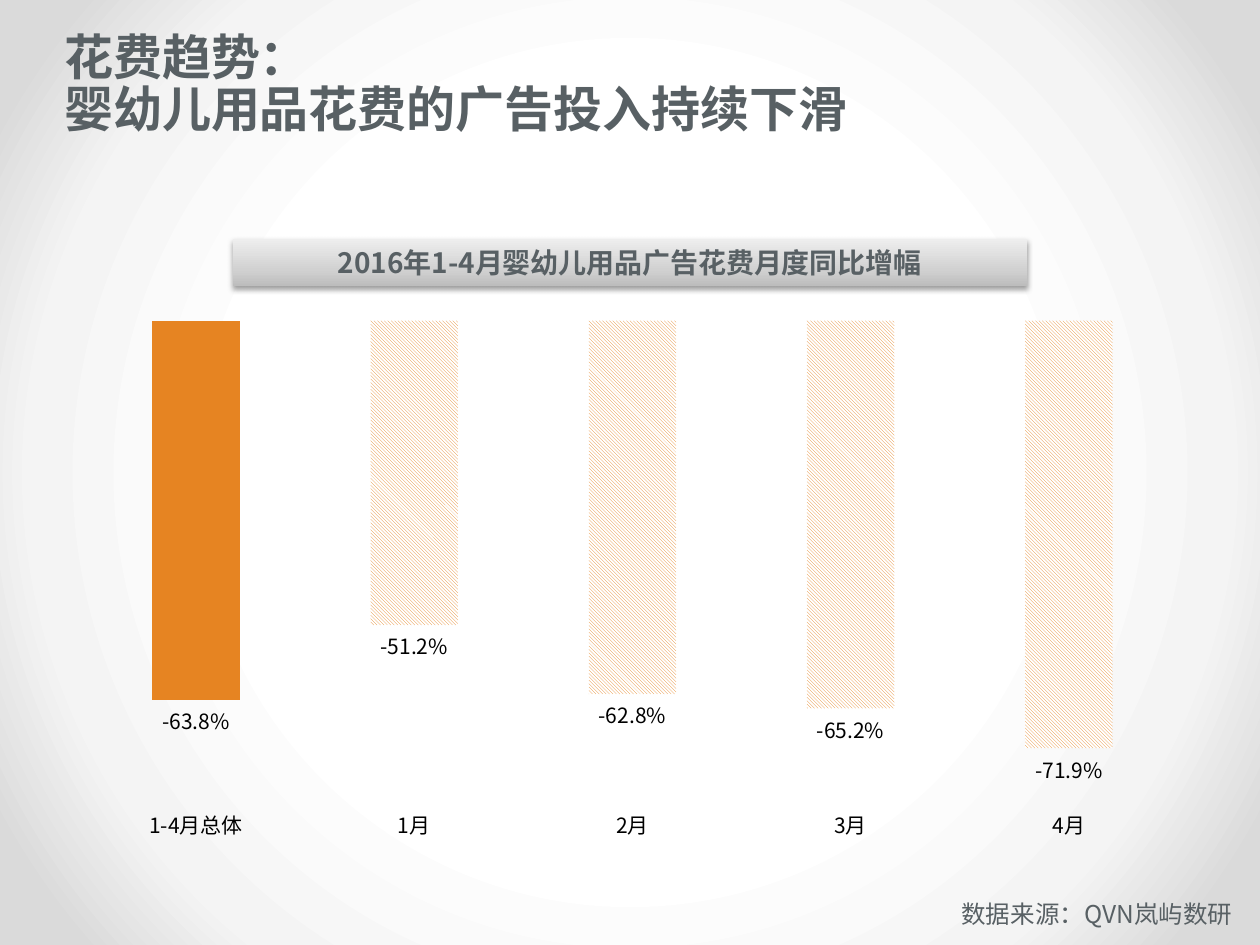
from lxml import etree
from pptx import Presentation, util as u
from pptx.chart import data as chart_data
from pptx.dml.color import RGBColor
from pptx.enum import chart as ch, dml, shapes, text
from pptx.oxml import parse_xml
from pptx.oxml.ns import nsdecls, qn

COLORS = {"ink": "586064", "orange": "E68422", "white": "FFFFFF", "black": "000000",
          "bg_mid": "F4F4F4", "bg_edge": "DADADA",
          "band_low": "BDBDBD", "band_mid": "D1D1D1", "band_top": "EEEEEE"}
SANS = "Noto Sans CJK SC"


def gradient(stops, direction):
    listed = "".join(f'<a:gs pos="{pos * 1000}"><a:srgbClr val="{COLORS[name]}"/></a:gs>'
                     for pos, name in stops)
    return parse_xml(f'<a:gradFill {nsdecls("a")} rotWithShape="1"><a:gsLst>{listed}</a:gsLst>'
                     f'{direction}</a:gradFill>')


def style(font, color, **values):
    for key, value in values.items():
        setattr(font, key, value)
    font.color.rgb = RGBColor.from_string(COLORS[color])


prs = Presentation()
prs.slide_width, prs.slide_height = u.Inches(10), u.Inches(7.5)
slide = prs.slides.add_slide(prs.slide_layouts[5])

slide.background.fill.solid()
backdrop = next(slide.background._cSld.iter(qn("p:bgPr")))
backdrop.replace(backdrop[0], gradient(
    [(50, "white"), (76, "bg_mid"), (92, "bg_edge")],
    '<a:path path="circle"><a:fillToRect l="50000" t="50000" r="50000" b="50000"/></a:path>'))

heading = slide.shapes.title
band = slide.shapes.add_shape(shapes.MSO_SHAPE.RECTANGLE, 0, 0, 0, 0)
growth = chart_data.CategoryChartData(number_format="0.0%")
growth.categories = ["1-4月总体", "1月", "2月", "3月", "4月"]
growth.add_series("Series 1", [-0.638, -0.512, -0.628, -0.652, -0.719])
chart = slide.shapes.add_chart(ch.XL_CHART_TYPE.COLUMN_CLUSTERED, u.Inches(0.51), u.Inches(2.46),
                               u.Inches(9.02), u.Inches(4.29), growth).chart
source = slide.shapes.add_textbox(0, 0, 0, 0)

band.shadow.inherit = False
band.line.fill.background()
band.fill.solid()
band_props = band._element.spPr
band_props.replace(band_props.find(qn("a:solidFill")), gradient(
    [(0, "band_low"), (35, "band_mid"), (100, "band_top")], '<a:lin ang="16200000" scaled="0"/>'))
band_props.find(qn("a:effectLst")).append(parse_xml(
    f'<a:outerShdw {nsdecls("a")} blurRad="{u.Pt(3.1)}" dist="{u.Pt(1.6)}" dir="5400000" '
    f'rotWithShape="0"><a:srgbClr val="{COLORS["black"]}"><a:alpha val="38000"/></a:srgbClr>'
    '</a:outerShdw>'))

FIT, NONE = text.MSO_AUTO_SIZE.SHAPE_TO_FIT_TEXT, text.MSO_AUTO_SIZE.NONE
TOP, MIDDLE, BOTTOM = text.MSO_ANCHOR.TOP, text.MSO_ANCHOR.MIDDLE, text.MSO_ANCHOR.BOTTOM
LEFT, CENTER, RIGHT = text.PP_ALIGN.LEFT, text.PP_ALIGN.CENTER, text.PP_ALIGN.RIGHT
for holder, box, lines, frame_format, line_format, font_format in [
    (heading, (0.41, 0.11, 9.12, 1.04), ["花费趋势：", "婴幼儿用品花费的广告投入持续下滑"],
     {"vertical_anchor": BOTTOM, "auto_size": NONE},
     {"alignment": LEFT, "line_spacing": 0.9},
     {"size": u.Pt(28), "name": "Montserrat", "bold": True}),
    (band, (1.85, 1.9, 6.3, 0.37), ["2016年1-4月婴幼儿用品广告花费月度同比增幅"],
     {"vertical_anchor": MIDDLE, "auto_size": FIT}, {"alignment": CENTER},
     {"size": u.Pt(16), "name": SANS, "bold": True}),
    (source, (6.18, 7.14, 3.7, 0.28), ["数据来源：QVN岚屿数研"],
     {"vertical_anchor": TOP, "auto_size": FIT},
     {"alignment": RIGHT, "line_spacing": u.Pt(13)},
     {"size": u.Pt(14), "name": SANS, "bold": False}),
]:
    holder.left, holder.top, holder.width, holder.height = map(u.Inches, box)
    frame = holder.text_frame
    frame.word_wrap = True
    for key, value in frame_format.items():
        setattr(frame, key, value)
    frame.text = "\n".join(lines)
    for line in frame.paragraphs:
        for key, value in line_format.items():
            setattr(line, key, value)
        run_font = line.runs[0].font
        style(run_font, "ink", **font_format)
        etree.SubElement(run_font._element, qn("a:ea"), typeface=SANS)

chart.has_legend = chart.has_title = False
style(chart.font, "black", size=u.Pt(18), name="TeX Gyre Pagella")

months = chart.category_axis
months.tick_label_position = ch.XL_TICK_LABEL_POSITION.LOW
months.major_tick_mark = ch.XL_TICK_MARK.NONE
months.format.line.fill.background()
style(months.tick_labels.font, "black", size=u.Pt(12), name=SANS)

change = chart.value_axis
for key, value in {"visible": False, "has_major_gridlines": False,
                   "minimum_scale": -0.8, "maximum_scale": 0}.items():
    setattr(change, key, value)

columns = chart.plots[0]
columns.gap_width, columns.overlap, columns.vary_by_categories = 150, -25, False
bars = columns.series[0]
bars.invert_if_negative = False
bars.format.fill.solid()
bars.format.fill.fore_color.rgb = RGBColor.from_string(COLORS["orange"])
for month in range(1, 5):
    hatch = bars.points[month].format.fill
    hatch.patterned()
    hatch.pattern = dml.MSO_PATTERN.DARK_DOWNWARD_DIAGONAL
    hatch.fore_color.rgb = RGBColor.from_string(COLORS["orange"])
    hatch.back_color.rgb = RGBColor.from_string(COLORS["white"])

labels = bars.data_labels
for key, value in {"show_value": True, "number_format": "0.0%", "number_format_is_linked": False,
                   "position": ch.XL_LABEL_POSITION.OUTSIDE_END}.items():
    setattr(labels, key, value)
style(labels.font, "black", size=u.Pt(12), name=SANS)

plot_area = chart._chartSpace.chart.plotArea
for old in plot_area.findall(qn("c:layout")):
    plot_area.remove(old)
plot_area.insert(0, parse_xml(
    f'<c:layout {nsdecls("c")}><c:manualLayout><c:layoutTarget val="inner"/>'
    '<c:xMode val="edge"/><c:yMode val="edge"/><c:x val="0.02"/><c:y val="0.02"/>'
    '<c:w val="0.96"/><c:h val="0.88"/></c:manualLayout></c:layout>'))

prs.save("out.pptx")
